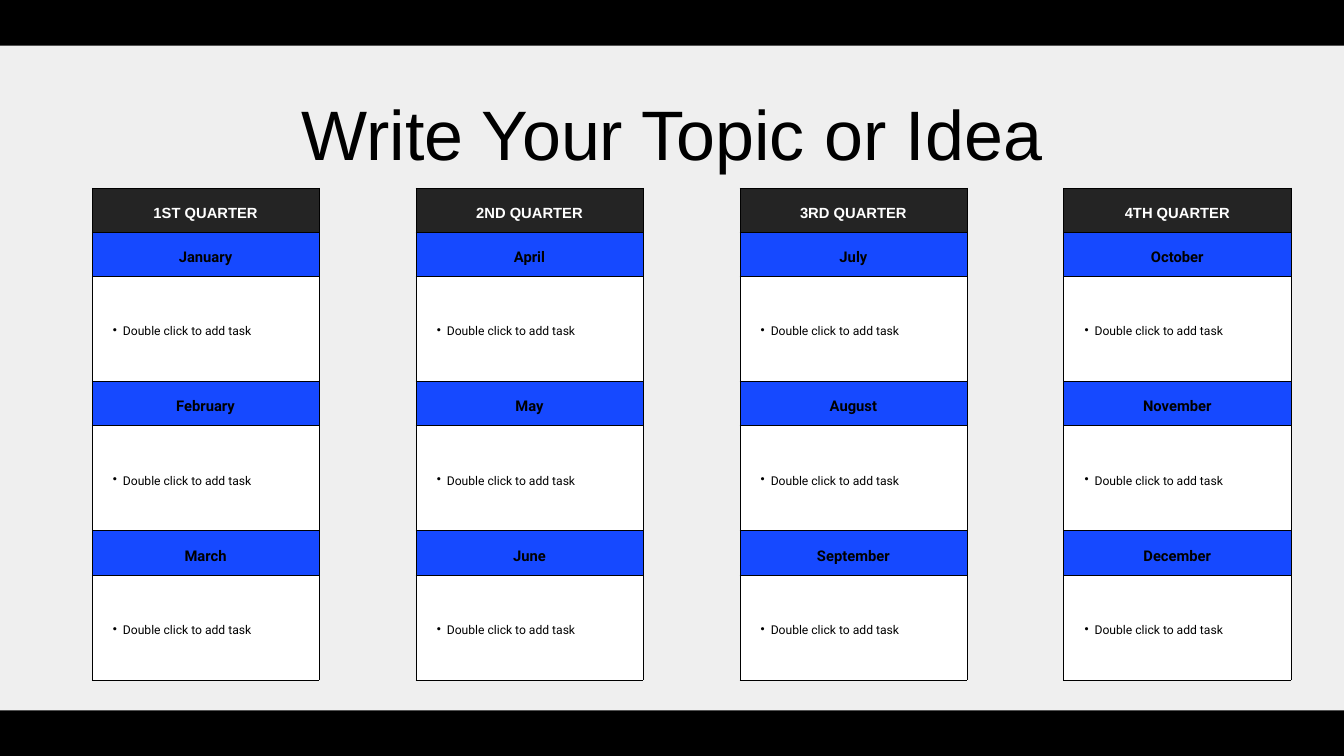
"""Build a yearly planner slide with one task table per quarter."""
from lxml.etree import SubElement
from pptx import Presentation
from pptx.dml.color import RGBColor
from pptx.enum.shapes import MSO_SHAPE
from pptx.enum.text import MSO_ANCHOR, MSO_AUTO_SIZE, PP_ALIGN
from pptx.oxml.ns import qn
from pptx.util import Inches, Pt

TITLE = "Write Your Topic or Idea"
TASK = "Double click to add task"
QUARTERS = [
    ("1ST QUARTER", ["January", "February", "March"]),
    ("2ND QUARTER", ["April", "May", "June"]),
    ("3RD QUARTER", ["July", "August", "September"]),
    ("4TH QUARTER", ["October", "November", "December"]),
]
COLORS = {"page": "EFEFEF", "ink": "000000", "header": "242424",
          "month": "1649FF", "task": "FFFFFF", "light": "FFFFFF"}

WIDTH, HEIGHT = 20, 11.25
BAND_H = 0.68
LEFT, TOP, PITCH, COL_W = 1.37, 2.8, 4.82, 3.38
ROWS = [0.65, 0.65, 1.56, 0.65, 1.57, 0.65, 1.56]
INSET = 0.15


def rgb(name):
    return RGBColor.from_string(COLORS[name])


def write(tf, text, size, font="Roboto", color="ink", bold=False,
          align=PP_ALIGN.CENTER, spacing=1.4, inset=INSET, bullet=False):
    tf.word_wrap = True
    p = tf.paragraphs[0]
    p.alignment, p.line_spacing = align, spacing
    if bullet:
        p.level = 1
        pPr = p._p.get_or_add_pPr()
        pPr.set("marL", str(Inches(0.31)))
        pPr.set("indent", str(Inches(-0.15)))
        clr = SubElement(pPr, qn("a:buClr"))
        SubElement(clr, qn("a:srgbClr"), val=COLORS["ink"])
        SubElement(pPr, qn("a:buChar"), char="•")
    r = p.add_run()
    r.text = text
    r.font.name, r.font.size, r.font.bold = font, Pt(size), bold
    r.font.color.rgb = rgb(color)
    tf.margin_left = tf.margin_right = Inches(inset)
    tf.margin_top = tf.margin_bottom = Inches(inset)


def style_cell(cell, fill):
    tcPr = cell._tc.get_or_add_tcPr()
    for side in ("lnL", "lnR", "lnT", "lnB"):
        ln = SubElement(tcPr, qn(f"a:{side}"), w=str(Pt(0.75)))
        paint = SubElement(ln, qn("a:solidFill"))
        SubElement(paint, qn("a:srgbClr"), val=COLORS["ink"])
    cell.fill.solid()
    cell.fill.fore_color.rgb = rgb(fill)
    cell.vertical_anchor = MSO_ANCHOR.MIDDLE
    cell.margin_left = cell.margin_right = Inches(INSET)
    cell.margin_top = cell.margin_bottom = Inches(INSET)


def add_quarter(s, index, name, months):
    frame = s.shapes.add_table(len(ROWS), 1, Inches(LEFT + index * PITCH),
                               Inches(TOP), Inches(COL_W), Inches(sum(ROWS)))
    table = frame.table
    table.first_row = table.horz_banding = False
    header = dict(size=15.8, font="Arial", color="light", bold=True)
    month = dict(size=15.8, bold=True)
    task = dict(size=13, align=PP_ALIGN.LEFT, bullet=True)
    lines = [(name, "header", header)]
    for m in months:
        lines += [(m, "month", month), (TASK, "task", task)]
    for i, (text, fill, style) in enumerate(lines):
        table.rows[i].height = Inches(ROWS[i])
        cell = table.cell(i, 0)
        style_cell(cell, fill)
        write(cell.text_frame, text, **style)


def add_band(s, top):
    sp = s.shapes.add_shape(MSO_SHAPE.RECTANGLE, 0, Inches(top),
                            Inches(WIDTH), Inches(BAND_H))
    sp.shadow.inherit = False
    sp.fill.solid()
    sp.fill.fore_color.rgb = rgb("ink")
    sp.line.fill.background()


def main():
    prs = Presentation()
    prs.slide_width, prs.slide_height = Inches(WIDTH), Inches(HEIGHT)
    s = prs.slides.add_slide(prs.slide_layouts[5])
    s.background.fill.solid()
    s.background.fill.fore_color.rgb = rgb("page")

    for i, (name, months) in enumerate(QUARTERS):
        add_quarter(s, i, name, months)
    for top in (0, HEIGHT - BAND_H):
        add_band(s, top)

    title = s.shapes.title
    title.left, title.top = Inches(1.73), Inches(1.1)
    title.width, title.height = Inches(WIDTH - 2 * 1.73), Inches(1.27)
    tf = title.text_frame
    write(tf, TITLE, 75, font="Arial", spacing=1.2, inset=0)
    tf.vertical_anchor = MSO_ANCHOR.TOP
    tf.auto_size = MSO_AUTO_SIZE.NONE
    prs.save("out.pptx")


if __name__ == "__main__":
    main()
